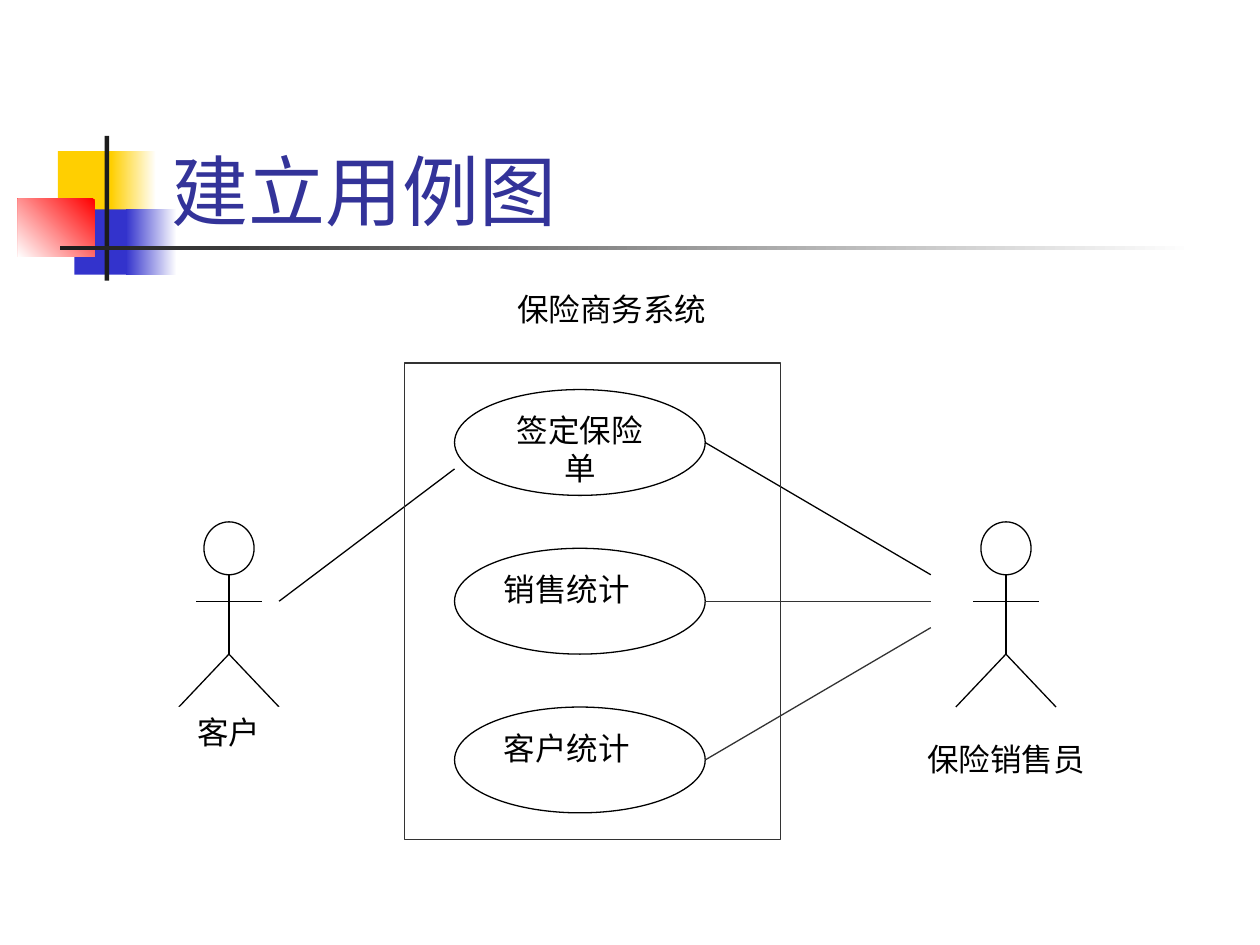
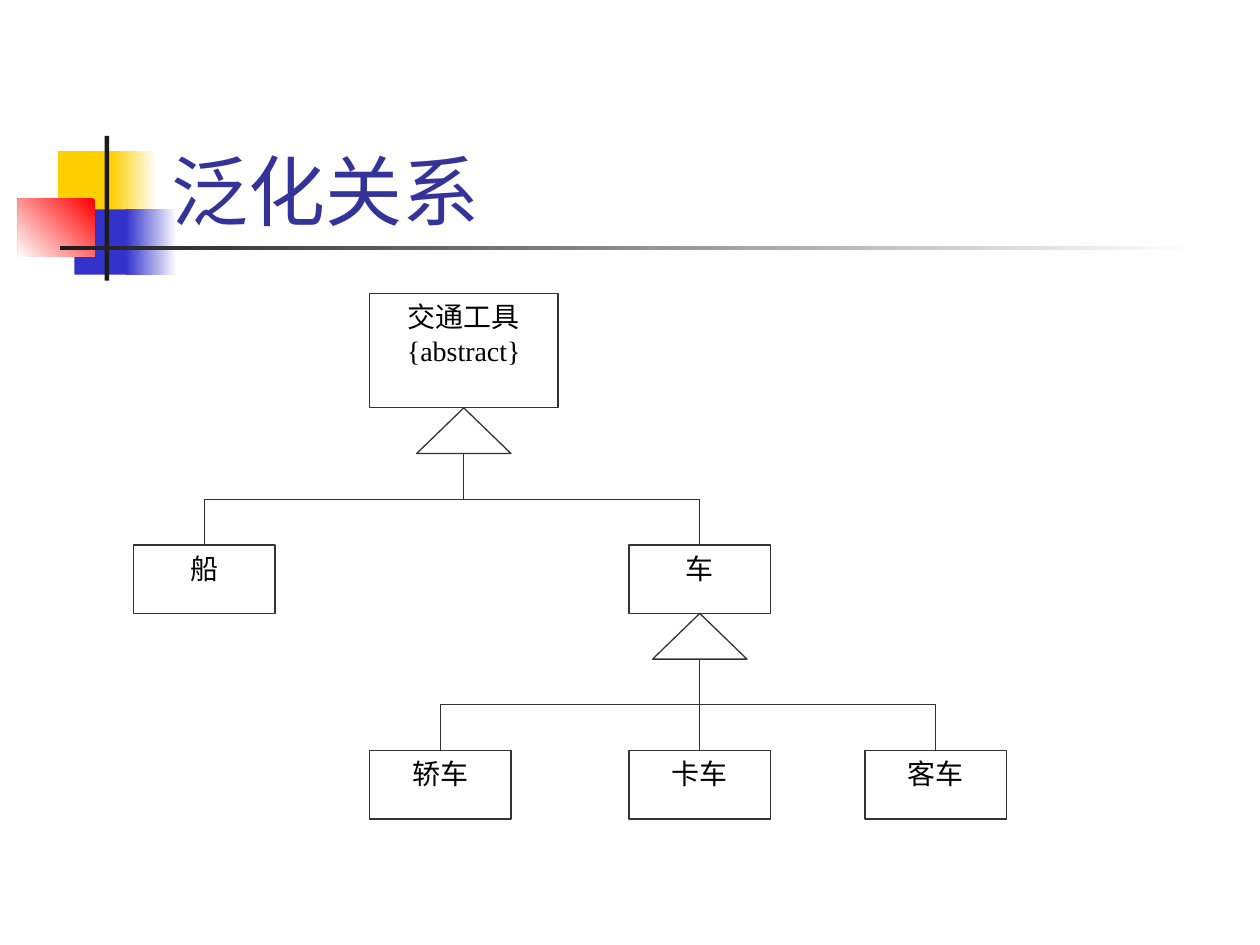
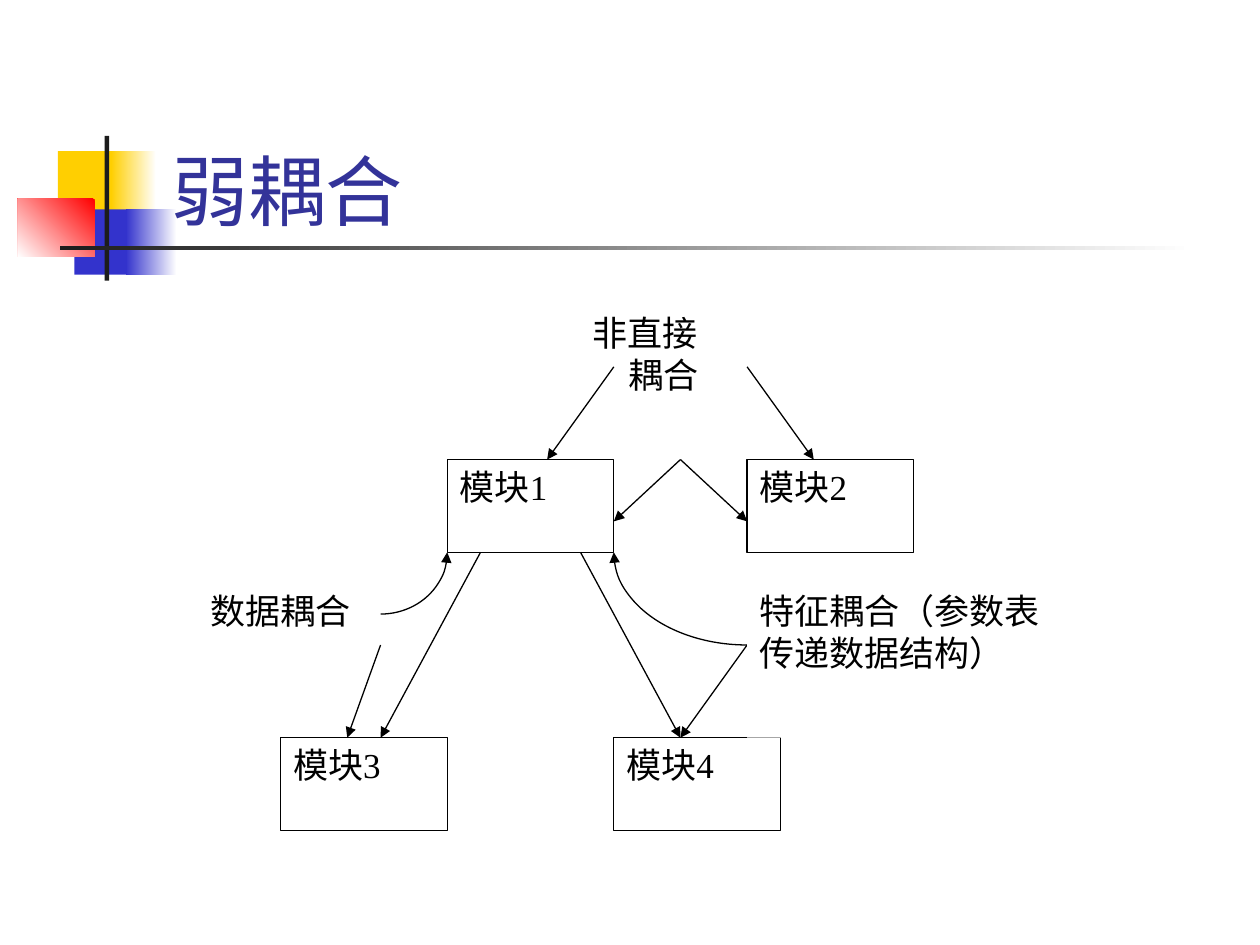
"""Build three slides on use cases, generalisation and loose coupling."""
from dataclasses import dataclass

from lxml import etree
from pptx import Presentation
from pptx.dml.color import RGBColor
from pptx.enum.shapes import MSO_CONNECTOR, MSO_SHAPE
from pptx.enum.text import MSO_ANCHOR, PP_ALIGN
from pptx.oxml.ns import qn
from pptx.util import Cm, Pt

RECT, OVAL = MSO_SHAPE.RECTANGLE, MSO_SHAPE.OVAL
PEAK, ARC = MSO_SHAPE.ISOSCELES_TRIANGLE, MSO_SHAPE.ARC
LEFT, MID, JUST = PP_ALIGN.LEFT, PP_ALIGN.CENTER, PP_ALIGN.JUSTIFY
TOP, BASE = MSO_ANCHOR.TOP, MSO_ANCHOR.BOTTOM
STRAIGHT = MSO_CONNECTOR.STRAIGHT


@dataclass(frozen=True)
class Theme:
    white: str = "FFFFFF"
    black: str = "000000"
    grey: str = "333333"
    ink: str = "1C1C1C"
    gold: str = "FFCF01"
    blue: str = "3333CC"
    red: str = "FF0000"
    navy: str = "333399"
    head: str = "Karla"
    body: str = "Times New Roman"
    title: int = 44
    case: int = 18
    tree: int = 16
    block: int = 20
    line: float = 0.75


T = Theme()

BAND = [
    ((1.17, 3.05, 1.22, 1.32), (T.gold,), 0),
    ((2.24, 3.05, 0.91, 1.32), (T.white, T.gold), 180),
    ((1.5, 4.22, 1.17, 1.32), (T.blue,), 0),
    ((2.54, 4.22, 1.02, 1.32), (T.white, T.blue), 180),
    ((0.36, 4.01, 1.55, 1.17), (T.red, T.white), 225),
    ((2.11, 2.74, 0.09, 2.92), (T.ink,), 0),
    ((1.22, 4.95, 22.86, 0.09), (T.white, T.ink), 180),
]
TITLE = (3.2, 1.7, 21.64, 3.18)

CASE_GRID = (3.1, 5.72, 19.2, 11.2, 38, 21)
SYSTEM = ("保险商务系统", (14, 0, 9, 3))
FRAME = (10, 3, 15, 18)
CASES = [("签定保险单", MID), ("销售统计", JUST), ("客户统计", JUST)]
ACTORS = [("客户", 3, (0, 16, 6, 3)), ("保险销售员", 34, (30, 17, 8, 3))]
LIMBS = [(-1.3, 12, 1.3, 12), (0, 11, 0, 14), (0, 14, -2, 16), (0, 14, 2, 16)]
LINKS = [
    ((5, 12, 12, 7), T.black),
    ((22, 6, 31, 11), T.black),
    ((22, 12, 31, 12), T.grey),
    ((22, 18, 31, 13), T.grey),
]

TREE_GRID = (2.69, 5.92, 17.6, 10.59, 37, 23)
ROOT = ("交通工具\n{abstract}", (10, 0, 8, 5))
KINDS = [("船", 0, 11), ("车", 21, 11), ("轿车", 10, 20), ("卡车", 21, 20), ("客车", 31, 20)]
FORKS = [(14, 5, [3, 24]), (24, 14, [13, 24, 34])]

BLOCK_GRID = (2.97, 6.15, 19.48, 10.59, 29, 17)
BLOCKS = [("模块1", 9, 5), ("模块2", 18, 5), ("模块3", 4, 14), ("模块4", 14, 14)]
NOTES = [
    ("数据耦合", (0, 9, 8, 3), [MID]),
    ("非直接\n耦合", (13, 0, 5, 5), [JUST, MID]),
    ("特征耦合（参数表\n传递数据结构）", (18, 9, 11, 5), [JUST, JUST]),
]
ARROWS = [
    (14, 2, 12, 5), (18, 2, 20, 5), (16, 5, 14, 7), (16, 5, 18, 7),
    (10, 8, 7, 14), (13, 8, 16, 14), (7, 11, 6, 14), (18, 11, 16, 14),
]
CURVES = [((5, 6, 4, 4), 0, "headEnd"), ((14, 5, 8, 6), 90, "tailEnd")]


def rgb(tone):
    """Turn a hex string into a colour."""
    return RGBColor.from_string(tone)


def write(frame, text, aligns, size, face, tone, anchor=TOP):
    """Set the text of a frame and format each paragraph."""
    frame.text = text
    frame.word_wrap = True
    frame.vertical_anchor = anchor
    for i, para in enumerate(frame.paragraphs):
        para.alignment = aligns[min(i, len(aligns) - 1)]
        for run in para.runs:
            run.font.size, run.font.name = Pt(size), face
            run.font.color.rgb = rgb(tone)


def tip(shape, end):
    """Put a triangle arrowhead on one end of a line."""
    line = shape.element.find(".//" + qn("a:ln"))
    etree.SubElement(line, qn("a:" + end), type="triangle")


def place(slide, kind, spot, tones=(), edge=None, angle=0):
    """Add a shape with no, plain or gradient fill; spot is in cm."""
    shape = slide.shapes.add_shape(kind, *map(Cm, spot))
    shape.shadow.inherit = False
    if len(tones) == 2:
        shape.fill.gradient()
        shape.fill.gradient_angle = angle
        for stop, tone in zip(shape.fill.gradient_stops, tones):
            stop.color.rgb = rgb(tone)
    elif tones:
        shape.fill.solid()
        shape.fill.fore_color.rgb = rgb(tones[0])
    else:
        shape.fill.background()
    if edge:
        shape.line.color.rgb, shape.line.width = rgb(edge), Pt(T.line)
    else:
        shape.line.fill.background()
    return shape


class Chart:
    """Draw on a slide in the units of an even grid."""

    def __init__(self, slide, grid, size, edge):
        """Keep the slide, the grid origin and steps, and the style."""
        self.slide, self.size, self.edge = slide, size, edge
        self.left, self.top, wide, high, cols, rows = grid
        self.dx, self.dy = wide / cols, high / rows

    def point(self, x, y):
        """Turn a grid point into cm."""
        return self.left + x * self.dx, self.top + y * self.dy

    def shape(self, kind, cell, tones=(T.white,), edge=None):
        """Add a shape over a grid cell."""
        x, y, w, h = cell
        spot = (*self.point(x, y), w * self.dx, h * self.dy)
        return place(self.slide, kind, spot, tones, edge)

    def label(self, text, cell, aligns=(MID,), kind=RECT, edge=None):
        """Add a shape with text."""
        frame = self.shape(kind, cell, edge=edge).text_frame
        write(frame, text, aligns, self.size, T.body, T.black)

    def line(self, ends, tone=None, arrow=False):
        """Add a straight line between two grid points."""
        x1, y1, x2, y2 = ends
        spot = map(Cm, (*self.point(x1, y1), *self.point(x2, y2)))
        link = self.slide.shapes.add_connector(STRAIGHT, *spot)
        link.line.color.rgb, link.line.width = rgb(tone or self.edge), Pt(T.line)
        etree.SubElement(link.element.spPr, qn("a:effectLst"))
        if arrow:
            tip(link, "tailEnd")


def draw_cases(slide):
    """Draw the use case diagram."""
    chart = Chart(slide, CASE_GRID, T.case, T.black)
    chart.label(*SYSTEM, [JUST])
    for i, (name, align) in enumerate(CASES):
        chart.label(name, (12, 4 + 6 * i, 10, 4), [align], OVAL, T.black)
    for name, x, cell in ACTORS:
        chart.shape(OVAL, (x - 1, 9, 2, 2), edge=T.black)
        for x1, y1, x2, y2 in LIMBS:
            chart.line((x + x1, y1, x + x2, y2))
        chart.label(name, cell)
    for ends, tone in LINKS:
        chart.line(ends, tone)
    chart.shape(RECT, FRAME, (), T.grey)


def draw_tree(slide):
    """Draw the generalisation tree."""
    chart = Chart(slide, TREE_GRID, T.tree, T.grey)
    chart.label(*ROOT, edge=T.grey)
    for name, x, y in KINDS:
        chart.label(name, (x, y, 6, 3), edge=T.grey)
    for x, y, kids in FORKS:
        bar = y + 4
        chart.shape(PEAK, (x - 2, y, 4, 2), edge=T.grey)
        chart.line((x, y + 2, x, bar))
        chart.line((kids[0], bar, kids[-1], bar))
        for kid in kids:
            chart.line((kid, bar, kid, bar + 2))


def draw_blocks(slide):
    """Draw the coupled modules."""
    chart = Chart(slide, BLOCK_GRID, T.block, T.black)
    for note in NOTES[:-1]:
        chart.label(*note)
    for name, x, y in BLOCKS:
        chart.label(name, (x, y, 5, 3), [JUST], edge=T.black)
    for ends in ARROWS:
        chart.line(ends, arrow=True)
    for cell, start, end in CURVES:
        curve = chart.shape(ARC, cell, (), T.black)
        for i, turn in enumerate((start, start + 90)):
            curve.adjustments[i] = turn * 0.6
        tip(curve, end)
    chart.label(*NOTES[-1])


SLIDES = [("建立用例图", draw_cases), ("泛化关系", draw_tree), ("弱耦合", draw_blocks)]


def main():
    """Build and save the deck."""
    deck = Presentation()
    deck.slide_width, deck.slide_height = Cm(25.4), Cm(19.05)
    layout = deck.slide_layouts[5]
    for i, (name, draw) in enumerate(SLIDES):
        slide = deck.slides.add_slide(layout)
        if i == 0:
            for spot, tones, angle in BAND:
                shape = place(slide, RECT, spot, tones, angle=angle)
                layout.shapes.element.append(shape.element)
        title = slide.shapes.title
        title.left, title.top, title.width, title.height = map(Cm, TITLE)
        write(title.text_frame, name, [LEFT], T.title, T.head, T.navy, BASE)
        draw(slide)
    deck.save("out.pptx")


if __name__ == "__main__":
    main()
